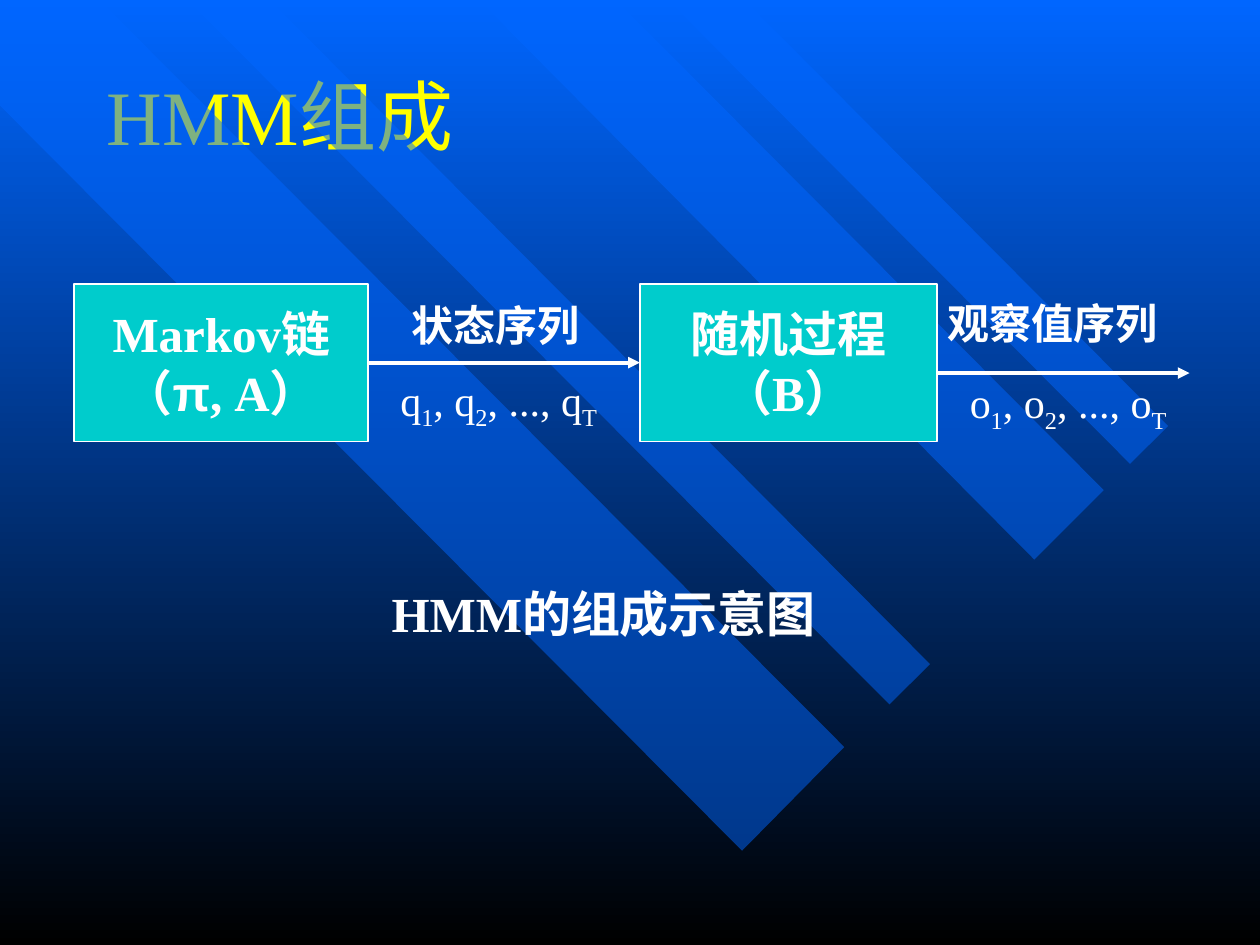
from dataclasses import dataclass

from lxml import etree
from pptx import Presentation
from pptx.dml.color import RGBColor
from pptx.enum.shapes import MSO_CONNECTOR, MSO_SHAPE
from pptx.enum.text import MSO_ANCHOR, MSO_AUTO_SIZE, PP_ALIGN
from pptx.oxml.ns import qn
from pptx.util import Cm, Pt

RECTANGLE = MSO_SHAPE.RECTANGLE
STRAIGHT = MSO_CONNECTOR.STRAIGHT
LEFT, CENTER = PP_ALIGN.LEFT, PP_ALIGN.CENTER
MIDDLE, TOP = MSO_ANCHOR.MIDDLE, MSO_ANCHOR.TOP
NO_AUTOFIT = MSO_AUTO_SIZE.NONE
LEFT_SIDE, RIGHT_SIDE = 1, 3
TITLE_ONLY = 5


@dataclass(frozen=True)
class Theme:
    blue: RGBColor = RGBColor(0x00, 0x66, 0xFF)
    black: RGBColor = RGBColor(0x00, 0x00, 0x00)
    teal: RGBColor = RGBColor(0x00, 0xCC, 0xCC)
    white: RGBColor = RGBColor(0xFF, 0xFF, 0xFF)
    yellow: RGBColor = RGBColor(0xFF, 0xFF, 0x00)
    font: str = "Times New Roman"
    symbol_font: str = "Arial"
    title_size: int = 44
    box_size: int = 28
    label_size: int = 24


THEME = Theme()

BANDS = [
    [(17.02, 15.06), (2.01, 0), (0, 0), (0, 2.13), (14.96, 17.15)],
    [(5.44, 0), (18.75, 13.39), (17.93, 14.2), (3.78, 0)],
    [(12.42, 0), (22.25, 9.88), (20.85, 11.28), (9.65, 0)],
    [(13.46, 0), (22.78, 9.35), (23.55, 8.59), (15.01, 0)],
]


def write_text(frame, lines, size=THEME.label_size, color=THEME.white, bold=False,
               align=LEFT, anchor=TOP, space_before=0, wrap=True):
    frame.word_wrap = wrap
    frame.auto_size = NO_AUTOFIT
    frame.vertical_anchor = anchor
    for index, pieces in enumerate(lines):
        paragraph = frame.add_paragraph() if index else frame.paragraphs[0]
        paragraph.alignment = align
        paragraph.space_before = Pt(space_before)
        for text, font_name, baseline in pieces:
            run = paragraph.add_run()
            run.text = text
            run.font.name = font_name
            run.font.size = Pt(size)
            run.font.bold = bold
            run.font.color.rgb = color
            if baseline:
                run._r.get_or_add_rPr().set("baseline", str(baseline * 1000))


def piece(text, font_name=THEME.font, baseline=0):
    return text, font_name, baseline


def sequence(symbol):
    pieces = []
    for lead, subscript in (("", "1"), (", ", "2"), (", ..., ", "T")):
        pieces += [piece(lead + symbol), piece(subscript, baseline=-25)]
    return pieces


def set_background(slide):
    fill = slide.background.fill
    fill.gradient()
    fill.gradient_angle = 270
    for stop, position, color in zip(fill.gradient_stops, (0, 1), (THEME.blue, THEME.black)):
        stop.position = position
        stop.color.rgb = color


def add_band(slide, points):
    corners = [(Cm(x), Cm(y)) for x, y in points]
    builder = slide.shapes.build_freeform(*corners[0])
    builder.add_line_segments(corners[1:], close=True)
    band = builder.convert_to_shape()
    band.shadow.inherit = False
    band.fill.solid()
    band.fill.fore_color.rgb = THEME.blue
    band.line.fill.background()
    color = band._element.spPr.find(qn("a:solidFill")).find(qn("a:srgbClr"))
    etree.SubElement(color, qn("a:alpha")).set("val", "50000")


def add_title(slide, text):
    title = slide.shapes.title
    title.left, title.top, title.width, title.height = Cm(1.9), Cm(0.63), Cm(21.59), Cm(3.38)
    write_text(title.text_frame, [[piece(text)]], size=THEME.title_size,
               color=THEME.yellow, anchor=MIDDLE)


def add_box(slide, left, width, lines):
    box = slide.shapes.add_shape(RECTANGLE, Cm(left), Cm(5.72), Cm(width), Cm(3.18))
    box.shadow.inherit = False
    box.fill.solid()
    box.fill.fore_color.rgb = THEME.teal
    box.line.color.rgb = THEME.white
    box.line.width = Pt(1)
    write_text(box.text_frame, lines, size=THEME.box_size, bold=True,
               align=CENTER, anchor=MIDDLE, wrap=False)
    return box


def add_arrow(slide, start, end):
    arrow = slide.shapes.add_connector(STRAIGHT, *map(Cm, start), *map(Cm, end))
    arrow.line.color.rgb = THEME.white
    arrow.line.width = Pt(2.25)
    etree.SubElement(arrow.line._get_or_add_ln(), qn("a:tailEnd")).set("type", "triangle")
    etree.SubElement(arrow._element.spPr, qn("a:effectLst"))
    return arrow


def add_label(slide, left, top, width, height, pieces, **text_format):
    label = slide.shapes.add_textbox(Cm(left), Cm(top), Cm(width), Cm(height))
    write_text(label.text_frame, [pieces], **text_format)


def main():
    presentation = Presentation()
    presentation.slide_width, presentation.slide_height = Cm(25.4), Cm(19.05)
    slide = presentation.slides.add_slide(presentation.slide_layouts[TITLE_ONLY])
    set_background(slide)
    for points in BANDS:
        add_band(slide, points)
    add_title(slide, "HMM组成")

    markov_box = add_box(slide, 1.5, 5.92, [
        [piece("Markov链")],
        [piece("（"), piece("π", THEME.symbol_font), piece(", A）")],
    ])
    process_box = add_box(slide, 12.9, 5.99, [[piece("随机过程")], [piece("（B）")]])

    state_arrow = add_arrow(slide, (7.42, 7.31), (12.9, 7.31))
    state_arrow.begin_connect(markov_box, RIGHT_SIDE)
    state_arrow.end_connect(process_box, LEFT_SIDE)
    add_arrow(slide, (18.89, 7.52), (23.98, 7.52))

    add_label(slide, 8.05, 5.92, 4.24, 1.27, [piece("状态序列")], bold=True, space_before=15)
    add_label(slide, 18.85, 5.87, 5.28, 1.27, [piece("观察值序列")], bold=True, space_before=15)
    add_label(slide, 7.82, 7.42, 4.88, 1.42, sequence("q"), space_before=15)
    add_label(slide, 19.3, 7.47, 4.88, 1.42, sequence("o"), space_before=15)
    add_label(slide, 3.38, 11.63, 17.58, 1.45, [piece("HMM的组成示意图")],
              size=THEME.box_size, bold=True, align=CENTER, space_before=17.5)

    presentation.save("out.pptx")


if __name__ == "__main__":
    main()
